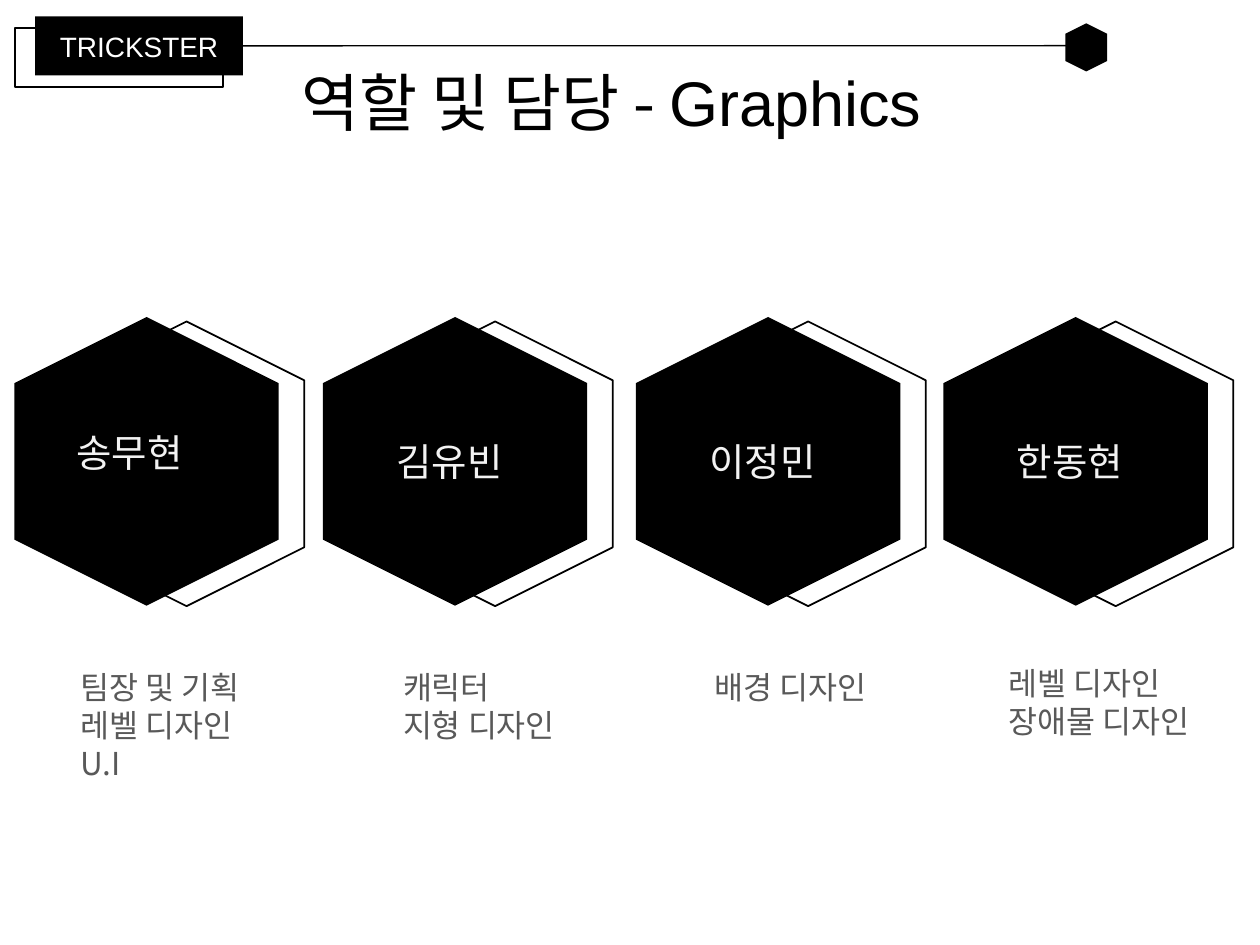
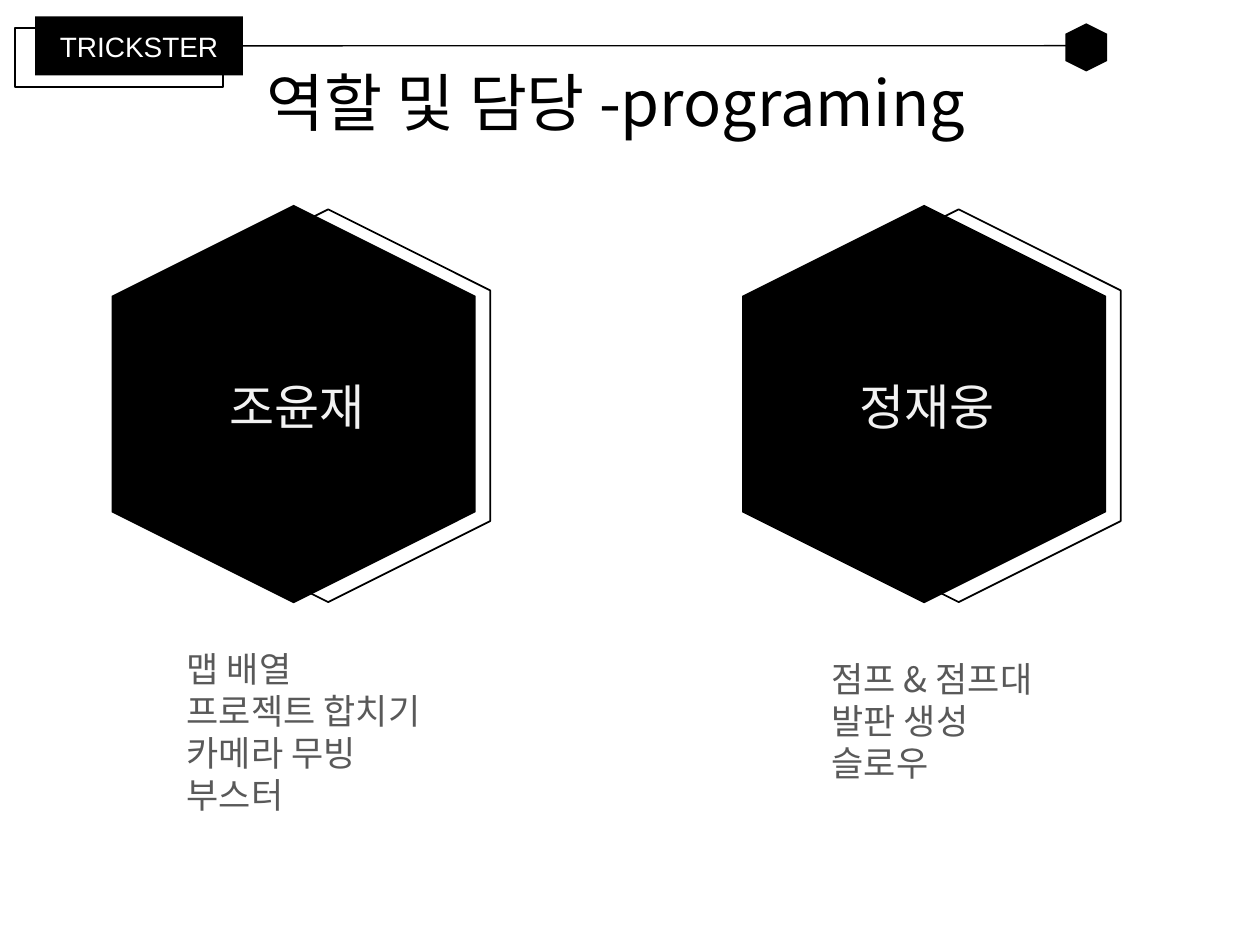
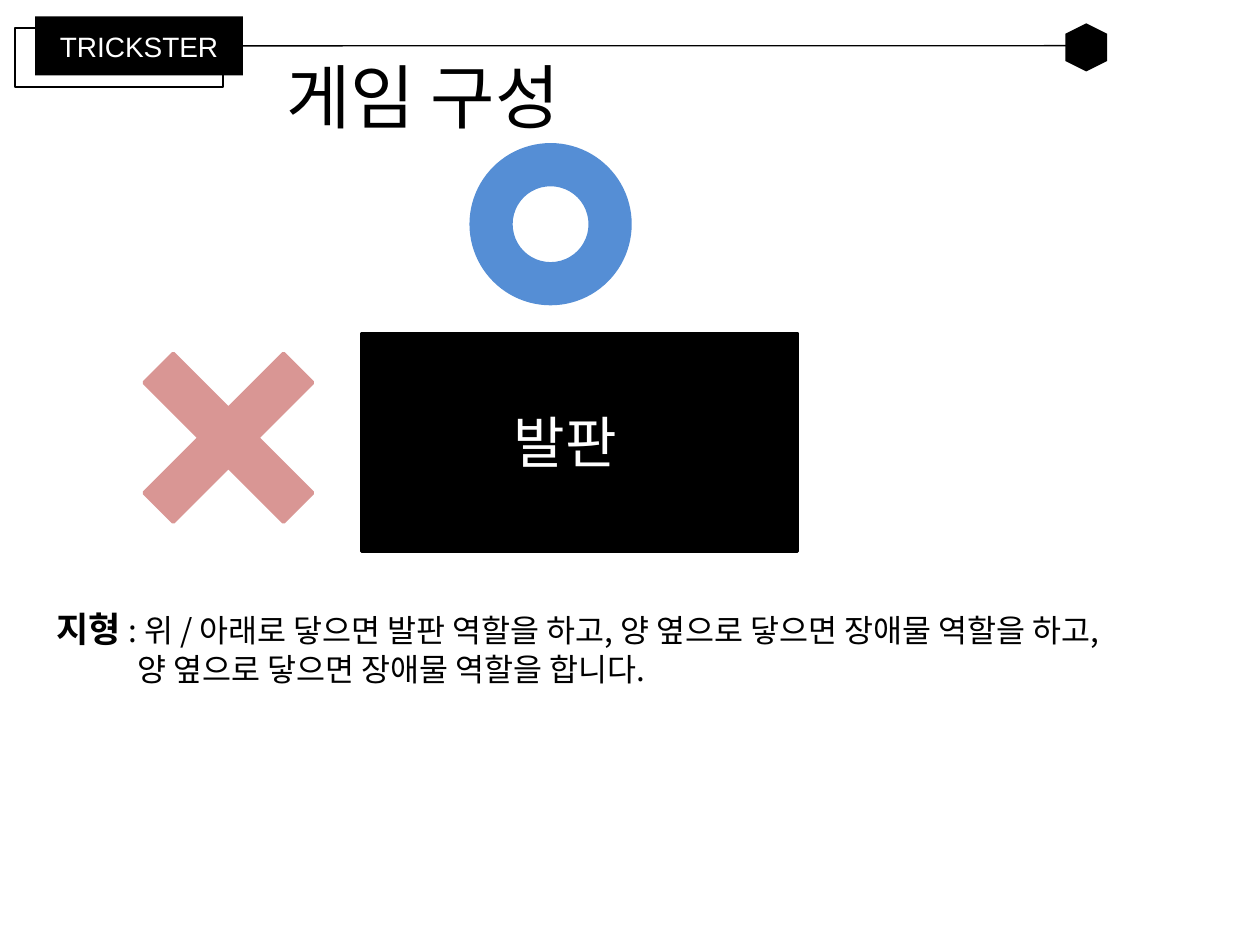
from lxml.etree import SubElement
from pptx import Presentation
from pptx.dml.color import RGBColor
from pptx.enum.shapes import MSO_CONNECTOR, MSO_SHAPE
from pptx.enum.text import MSO_ANCHOR, MSO_AUTO_SIZE, PP_ALIGN
from pptx.oxml.ns import qn
from pptx.util import Cm, Pt

BLACK, WHITE, PALE, GREY = "000000", "FFFFFF", "F2F2F2", "595959"
BLUE, PINK = "558ED5", "D99694"
KOREAN, LATIN = "Noto Sans CJK KR", "Arial"
COMPARISON, TWO_CONTENT, TITLE_AND_CONTENT = 4, 3, 1


def rgb(value):
    return RGBColor.from_string(value)


def add_run(para, text, size, color, font=KOREAN, bold=False):
    run = para.add_run()
    run.text = text
    run.font.size = Pt(size)
    run.font.bold = bold
    run.font.name = font
    run.font.color.rgb = rgb(color)
    SubElement(run.font._element, qn("a:ea"), typeface=KOREAN)


def add_shape(page, kind, left, top, width, height, fill=None, line=None, weight=1):
    shape = page.shapes.add_shape(kind, Cm(left), Cm(top), Cm(width), Cm(height))
    shape.shadow.inherit = False
    if fill:
        shape.fill.solid()
        shape.fill.fore_color.rgb = rgb(fill)
    else:
        shape.fill.background()
    if line:
        shape.line.color.rgb = rgb(line)
        shape.line.width = Pt(weight)
    else:
        shape.line.fill.background()
    return shape


def add_upright_hexagon(page, left, top, width, height, **paint):
    """Draw a hexagon standing on its point; the box is the one seen after turning."""
    shift = (height - width) / 2
    hexagon = add_shape(page, MSO_SHAPE.HEXAGON, left - shift, top + shift,
                        height, width, **paint)
    hexagon.rotation = 270


def add_label(page, text, left, top, width, height, size, color):
    box = page.shapes.add_textbox(Cm(left), Cm(top), Cm(width), Cm(height))
    box.text_frame.word_wrap = True
    add_run(box.text_frame.paragraphs[0], text, size, color)


def place(holder, left, top, width, height):
    holder.left, holder.top = Cm(left), Cm(top)
    holder.width, holder.height = Cm(width), Cm(height)
    holder.text_frame.auto_size = MSO_AUTO_SIZE.NONE
    holder.text_frame.word_wrap = True


def plain_paragraphs(holder, count):
    """Return paragraphs without bullet, indent or spacing, set from the top."""
    frame = holder.text_frame
    frame.vertical_anchor = MSO_ANCHOR.TOP
    paras = [frame.paragraphs[0]] + [frame.add_paragraph() for _ in range(count - 1)]
    for para in paras:
        para.alignment = PP_ALIGN.LEFT
        para.space_before = Pt(0)
        properties = para._p.get_or_add_pPr()
        properties.set("marL", "0")
        properties.set("indent", "0")
        SubElement(properties, qn("a:buNone"))
    return paras


def add_header(page):
    add_shape(page, MSO_SHAPE.RECTANGLE, 0.3, 0.56, 4.19, 1.19, line=BLACK)
    tag = add_shape(page, MSO_SHAPE.RECTANGLE, 0.71, 0.33, 4.19, 1.19, fill=BLACK)
    tag.text_frame.vertical_anchor = MSO_ANCHOR.MIDDLE
    para = tag.text_frame.paragraphs[0]
    para.alignment = PP_ALIGN.CENTER
    add_run(para, "TRICKSTER", 16, WHITE, LATIN)
    rule = page.shapes.add_connector(MSO_CONNECTOR.STRAIGHT, Cm(4.9), Cm(0.92),
                                     Cm(21.49), Cm(0.92))
    rule.begin_connect(tag, 3)
    rule.line.color.rgb = rgb(BLACK)
    rule.line.width = Pt(0.75)
    SubElement(rule._element.spPr, qn("a:effectLst"))
    add_upright_hexagon(page, 21.48, 0.47, 0.84, 0.97, fill=BLACK)


def add_page(deck, layout, title_runs, title_box, size=36):
    page = deck.slides.add_slide(deck.slide_layouts[layout])
    add_header(page)
    title = page.shapes.title
    place(title, *title_box)
    title.text_frame.vertical_anchor = MSO_ANCHOR.MIDDLE
    para = title.text_frame.paragraphs[0]
    para.alignment = PP_ALIGN.CENTER
    for text, font in title_runs:
        add_run(para, text, size, BLACK, font)
    bodies = [holder for holder in page.placeholders
              if holder.placeholder_format.idx > 0]
    return page, bodies


def add_badge(page, left, top, width, height, name, name_offset, name_size):
    """Draw a black hexagon with an outlined echo and a member's name."""
    add_upright_hexagon(page, left + 1.1, top + 0.09, 0.89 * width, 0.986 * height,
                        line=BLACK)
    add_upright_hexagon(page, left, top, width, height, fill=BLACK)
    across, down = name_offset
    add_label(page, name, left + across, top + down, 0.7 * width, 1.3, name_size, PALE)


def fill_roles(holder, left, top, roles, size):
    place(holder, left, top, 5.2 if size < 20 else 6.2, 0.2 + 0.85 * len(roles))
    for para, role in zip(plain_paragraphs(holder, len(roles)), roles):
        add_run(para, role, size, GREY)


def build_graphics(deck):
    page, bodies = add_page(deck, COMPARISON,
                            [("역할 및 담당 - ", KOREAN), ("Graphics", LATIN)],
                            (0.89, 0.46, 22.86, 3.18))
    members = [
        (0.29, "송무현", (1, 2.14), 1.37, 13.34, ["팀장 및 기획", "레벨 디자인", "U.I"]),
        (6.51, "김유빈", (1.23, 2.32), 7.87, 13.34, ["캐릭터", "지형 디자인"]),
        (12.82, "이정민", (1.23, 2.32), 14.15, 13.34, ["배경 디자인"]),
        (19.02, "한동현", (1.23, 2.32), 20.07, 13.26, ["레벨 디자인", "장애물 디자인"]),
    ]
    for body, (left, name, offset, roles_left, roles_top, roles) in zip(bodies, members):
        add_badge(page, left, 6.39, 5.33, 5.82, name, offset, 22)
        fill_roles(body, roles_left, roles_top, roles, 18)


def build_programming(deck):
    page, bodies = add_page(deck, TWO_CONTENT, [("역할 및 담당 -programing", KOREAN)],
                            (0.99, 0.46, 22.86, 3.18))
    members = [
        (2.25, "조윤재", 3.51, 12.93,
         ["맵 배열", "프로젝트 합치기", "카메라 무빙", "부스터"]),
        (14.96, "정재웅", 16.51, 13.13, ["점프 & 점프대", "발판 생성", "슬로우"]),
    ]
    for body, (left, name, roles_left, roles_top, roles) in zip(bodies, members):
        add_badge(page, left, 4.13, 7.34, 8.03, name, (2.12, 3.34), 28)
        fill_roles(body, roles_left, roles_top, roles, 20)


def add_platform(page, left, top):
    """Draw the platform with a ring above it and a cross at its left."""
    add_shape(page, MSO_SHAPE.RECTANGLE, left, top, 8.79, 4.39,
              fill=BLACK, line=BLACK, weight=2)
    add_label(page, "발판", left + 2.82, top + 1.37, 5.5, 1.63, 32, WHITE)
    add_shape(page, MSO_SHAPE.DONUT, left + 2.21, top - 3.81, 3.2, 3.2,
              fill=BLUE, line=BLUE, weight=2)
    cross = add_shape(page, MSO_SHAPE.MATH_MULTIPLY, left - 5.39, top - 0.61, 5.41, 5.41,
                      fill=PINK, line=PINK, weight=2)
    cross.adjustments[0] = 0.154


def build_game(deck):
    page, (body,) = add_page(deck, TITLE_AND_CONTENT, [("게임 구성", LATIN)],
                             (0, 0.33, 17.06, 3.18), size=40)
    add_platform(page, 7.29, 6.73)
    place(body, 0.89, 12.12, 24.21, 1.88)
    first, second = plain_paragraphs(body, 2)
    add_run(first, "지형", 20, BLACK, bold=True)
    add_run(first, " : 위 / 아래로 닿으면 발판 역할을 하고, 양 옆으로 닿으면 장애물 역할을 하고,",
            18, BLACK)
    second._p.pPr.set("marL", str(Cm(1.62)))
    add_run(second, "양 옆으로 닿으면 장애물 역할을 합니다.", 18, BLACK)


def main():
    deck = Presentation()
    deck.slide_width, deck.slide_height = Cm(25.4), Cm(19.05)
    build_graphics(deck)
    build_programming(deck)
    build_game(deck)
    deck.save("out.pptx")


if __name__ == "__main__":
    main()
